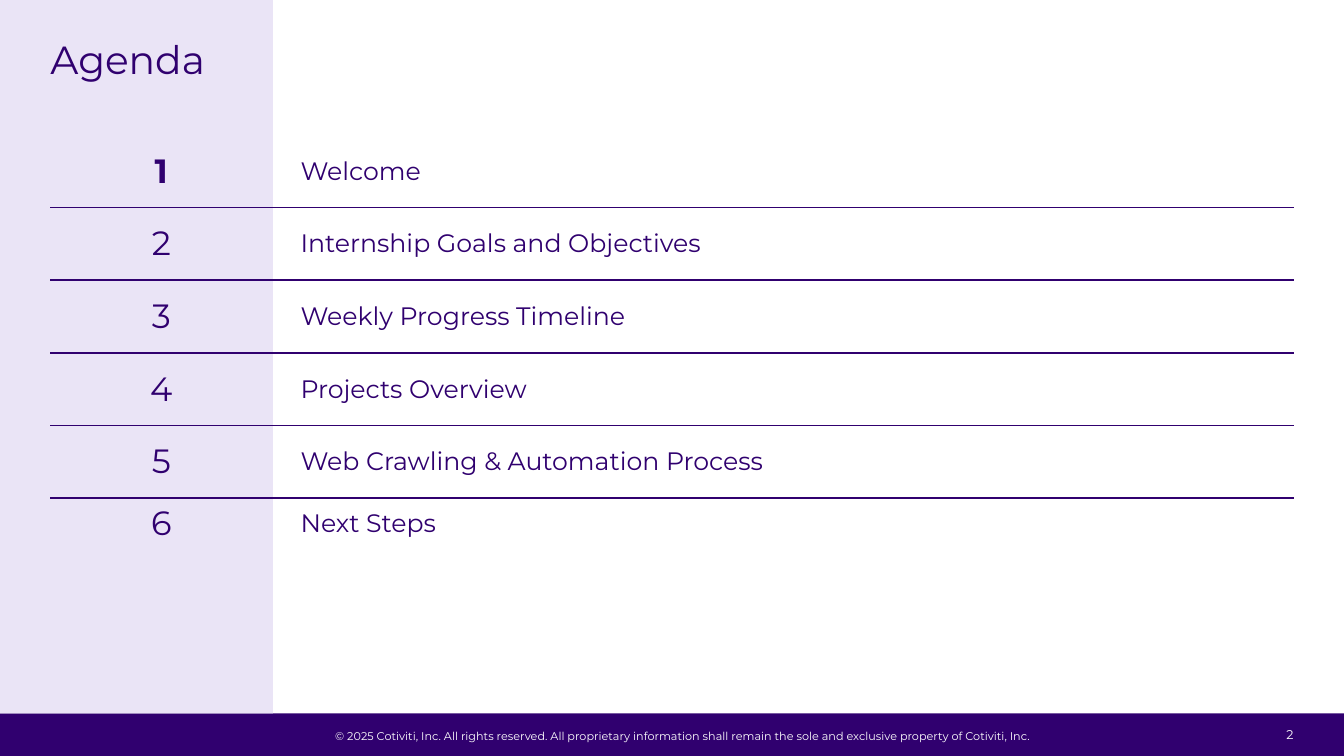
from dataclasses import dataclass

import lxml.etree
import pptx
import pptx.dml.color
import pptx.enum.shapes
import pptx.enum.text
import pptx.oxml.ns
import pptx.util

Cm = pptx.util.Cm
Align = pptx.enum.text.PP_ALIGN
Anchor = pptx.enum.text.MSO_ANCHOR

# Content
TITLE = "Agenda"
AGENDA = [
    "Welcome",
    "Internship Goals and Objectives",
    "Weekly Progress Timeline",
    "Projects Overview",
    "Web Crawling & Automation Process",
    "Next Steps",
]
COPYRIGHT = (
    "© 2025 Cotiviti, Inc. All rights reserved. All proprietary information "
    "shall remain the sole and exclusive property of Cotiviti, Inc."
)
PAGE_NUMBER = "2"
CURRENT_ITEM = 1
RULE_WIDTHS = [1.5, 1.5, 1.5, 0.75, 1.5]  # points, below each row but the last


@dataclass(frozen=True)
class Theme:
    font: str = "Montserrat"
    purple: str = "30006F"
    lavender: str = "EAE4F6"
    white: str = "FFFFFF"
    title_size: float = 28
    number_size: float = 24
    item_size: float = 18
    page_size: float = 9
    copyright_size: float = 8


THEME = Theme()

# Layout, in centimetres
SLIDE_WIDTH, SLIDE_HEIGHT = 33.87, 19.05
MARGIN = 1.27
CONTENT_WIDTH = SLIDE_WIDTH - 2 * MARGIN
FOOTER_TOP = 17.98
PANEL_WIDTH = 6.88
TABLE_TOP = 3.4
NUMBER_WIDTH = 5.59
ROW_HEIGHT, LAST_ROW_HEIGHT = 1.83, 1.27
ITEM_INDENT = 0.46


def write(frame, text, size, color, align=Align.LEFT, bold=False):
    frame.text = text
    paragraph = frame.paragraphs[0]
    paragraph.alignment = align
    font = paragraph.runs[0].font
    font.name = THEME.font
    font.size = pptx.util.Pt(size)
    font.bold = bold
    font.color.rgb = pptx.dml.color.RGBColor.from_string(color)
    return paragraph


def clear_margins(frame):
    frame.margin_left = frame.margin_right = 0
    frame.margin_top = frame.margin_bottom = 0


def add_block(slide, left, top, width, height, color):
    shape = slide.shapes.add_shape(
        pptx.enum.shapes.MSO_SHAPE.RECTANGLE, Cm(left), Cm(top), Cm(width), Cm(height))
    shape.shadow.inherit = False
    shape.fill.solid()
    shape.fill.fore_color.rgb = pptx.dml.color.RGBColor.from_string(color)
    shape.line.fill.background()


def add_label(slide, left, top, width, height, text, size, align):
    frame = slide.shapes.add_textbox(Cm(left), Cm(top), Cm(width), Cm(height)).text_frame
    clear_margins(frame)
    frame.word_wrap = True
    frame.vertical_anchor = Anchor.MIDDLE
    write(frame, text, size, THEME.white, align)


def set_rules(cell, above, below):
    """Draw the horizontal rules of a cell; a width of None draws nothing."""
    properties = cell._tc.get_or_add_tcPr()
    rules = [("a:lnT", above), ("a:lnB", below)]
    for position, (tag, width) in enumerate(rules):
        line = lxml.etree.Element(pptx.oxml.ns.qn(tag))
        if width is None:
            lxml.etree.SubElement(line, pptx.oxml.ns.qn("a:noFill"))
        else:
            line.set("w", str(int(pptx.util.Pt(width))))
            fill = lxml.etree.SubElement(line, pptx.oxml.ns.qn("a:solidFill"))
            lxml.etree.SubElement(fill, pptx.oxml.ns.qn("a:srgbClr"), val=THEME.purple)
        properties.insert(position, line)


def add_agenda(slide):
    height = ROW_HEIGHT * (len(AGENDA) - 1) + LAST_ROW_HEIGHT
    table = slide.shapes.add_table(
        len(AGENDA), 2, Cm(MARGIN), Cm(TABLE_TOP), Cm(CONTENT_WIDTH), Cm(height)).table
    table.first_row = table.horz_banding = False
    # Table style without fills or grid
    style = table._tbl.tblPr.find(pptx.oxml.ns.qn("a:tableStyleId"))
    style.text = "{2D5ABB26-0587-4C30-8999-92F81FD0307C}"
    table.columns[0].width = Cm(NUMBER_WIDTH)
    table.columns[1].width = Cm(CONTENT_WIDTH - NUMBER_WIDTH)

    rules = [None, *RULE_WIDTHS, None]
    for index, item in enumerate(AGENDA):
        last = index == len(AGENDA) - 1
        table.rows[index].height = Cm(LAST_ROW_HEIGHT if last else ROW_HEIGHT)
        number_cell, item_cell = table.rows[index].cells
        for cell in (number_cell, item_cell):
            cell.vertical_anchor = Anchor.MIDDLE
            cell.fill.background()
            set_rules(cell, rules[index], rules[index + 1])
        number = index + 1
        write(number_cell.text_frame, str(number), THEME.number_size, THEME.purple,
              Align.CENTER, bold=number == CURRENT_ITEM)
        paragraph = write(item_cell.text_frame, item, THEME.item_size, THEME.purple)
        paragraph._p.get_or_add_pPr().set("marL", str(int(Cm(ITEM_INDENT))))


def add_title(slide):
    title = slide.shapes.title
    title.left, title.top = Cm(MARGIN), Cm(1.02)
    title.width, title.height = Cm(CONTENT_WIDTH), Cm(2.16)
    frame = title.text_frame
    clear_margins(frame)
    frame.auto_size = pptx.enum.text.MSO_AUTO_SIZE.NONE
    frame.vertical_anchor = Anchor.TOP
    write(frame, TITLE, THEME.title_size, THEME.purple).line_spacing = 0.9
    # Bring the title in front of the side panel
    slide.shapes._spTree.append(title._element)


def main():
    presentation = pptx.Presentation()
    presentation.slide_width = Cm(SLIDE_WIDTH)
    presentation.slide_height = Cm(SLIDE_HEIGHT)
    slide = presentation.slides.add_slide(presentation.slide_layouts[5])

    # Footer
    add_block(slide, 0, FOOTER_TOP, SLIDE_WIDTH, SLIDE_HEIGHT - FOOTER_TOP, THEME.purple)
    add_label(slide, 8.15, 18.24, 18.14, 0.6, COPYRIGHT, THEME.copyright_size, Align.CENTER)
    add_label(slide, 31.25, 18.14, 1.35, 0.76, PAGE_NUMBER, THEME.page_size, Align.RIGHT)

    # Side panel, agenda and title
    add_block(slide, 0, 0, PANEL_WIDTH, FOOTER_TOP, THEME.lavender)
    add_agenda(slide)
    add_title(slide)

    presentation.save("out.pptx")


if __name__ == "__main__":
    main()
